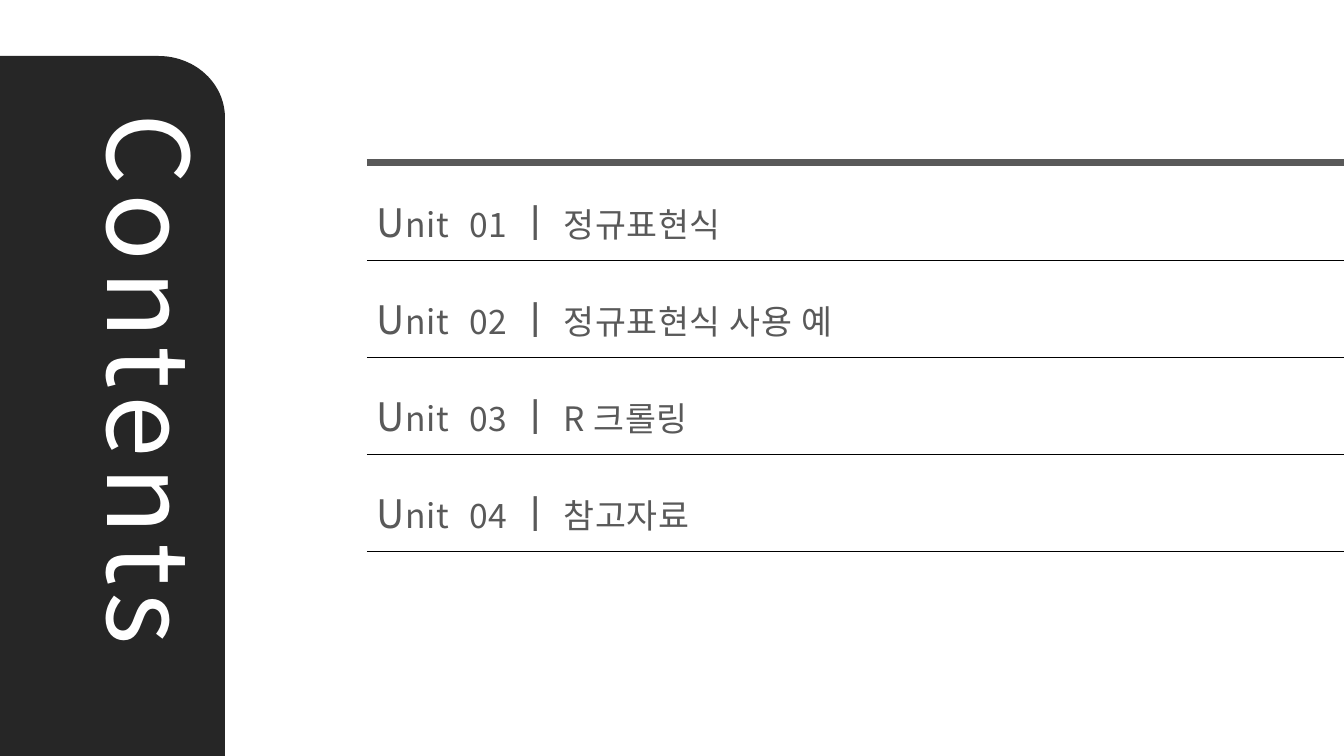
import math

import pptx
import pptx.dml.color
import pptx.enum.shapes
import pptx.enum.text
import pptx.oxml
import pptx.oxml.ns
import pptx.util

Pt = pptx.util.Pt

COLORS = {"panel": "262626", "title": "FFFFFF", "text": "595959", "rule": "000000"}
FONT = "Noto Sans CJK KR"
WIDTH, HEIGHT = 960, 540


class ContentsSlide:
    """Holds the style and the current slide; one method per kind of element."""

    def __init__(self, presentation):
        self.slide = presentation.slides.add_slide(presentation.slide_layouts[6])
        self.shapes = self.slide.shapes

    def color(self, name):
        return pptx.dml.color.RGBColor.from_string(COLORS[name])

    def outline(self, points, color):
        (left, top), *others = [(Pt(x), Pt(y)) for x, y in points]
        builder = self.shapes.build_freeform(left, top)
        builder.add_line_segments(others, close=True)
        shape = builder.convert_to_shape()
        shape.shadow.inherit = False
        shape.fill.solid()
        shape.fill.fore_color.rgb = self.color(color)
        shape.line.fill.background()

    def rule(self, left, right, y, color, weight):
        line = self.shapes.add_connector(
            pptx.enum.shapes.MSO_CONNECTOR.STRAIGHT, Pt(left), Pt(y), Pt(right), Pt(y))
        line.line.color.rgb = self.color(color)
        line.line.width = Pt(weight)
        properties = line._element.spPr
        properties.append(pptx.oxml.parse_xml(
            "<a:effectLst %s/>" % pptx.oxml.ns.nsdecls("a")))

    def text(self, box, runs, color, spacing, rotation=0,
             anchor=pptx.enum.text.MSO_ANCHOR.TOP):
        shape = self.shapes.add_textbox(*[Pt(length) for length in box])
        shape.rotation = rotation
        frame = shape.text_frame
        frame.word_wrap = True
        frame.vertical_anchor = anchor
        paragraph = frame.paragraphs[0]
        for words, size in runs:
            run = paragraph.add_run()
            run.text = words
            run.font.size = Pt(size)
            run.font.name = FONT
            run.font.color.rgb = self.color(color)
            # Letter spacing and East Asian font
            properties = run._r.get_or_add_rPr()
            properties.set("spc", str(int(spacing * 100)))
            properties.append(pptx.oxml.parse_xml(
                '<a:ea %s typeface="%s"/>' % (pptx.oxml.ns.nsdecls("a"), FONT)))


presentation = pptx.Presentation()
presentation.slide_width, presentation.slide_height = Pt(WIDTH), Pt(HEIGHT)
contents = ContentsSlide(presentation)

# Side panel with one rounded corner
PANEL_TOP, PANEL_RIGHT = 40, 160.7
CORNER_WIDTH, CORNER_HEIGHT = 47.5, 44
STEPS = 24
angles = [math.pi / 2 * step / STEPS for step in range(STEPS + 1)]
corner = [(PANEL_RIGHT - CORNER_WIDTH * (1 - math.sin(angle)),
           PANEL_TOP + CORNER_HEIGHT * (1 - math.cos(angle))) for angle in angles]
contents.outline(
    [(0, PANEL_TOP), *corner, (PANEL_RIGHT, HEIGHT), (0, HEIGHT)], "panel")

# Vertical title
contents.text((-142.6, 272.9, 501.8, 104.4), [("Contents", 80)], "title", 6, rotation=90)

# Unit list
UNITS = ["정규표현식", "정규표현식 사용 예", "R 크롤링", "참고자료"]
LIST_LEFT, LIST_TOP = 262, 116
ROW_TOP, ROW_HEIGHT, ROW_PITCH = 131, 55.2, 69.3
contents.rule(LIST_LEFT, WIDTH, LIST_TOP, "text", 5)
for index, unit in enumerate(UNITS):
    top = ROW_TOP + index * ROW_PITCH
    runs = [("U", 28), ("nit", 24), ("  ", 28), (f"{index + 1:02}", 24),
            (" ㅣ ", 28), (unit, 24)]
    contents.text((LIST_LEFT, top, 679, ROW_HEIGHT), runs, "text", 0.5,
                  anchor=pptx.enum.text.MSO_ANCHOR.MIDDLE)
    contents.rule(LIST_LEFT, WIDTH, top + ROW_HEIGHT, "rule", 1)

presentation.save("out.pptx")
